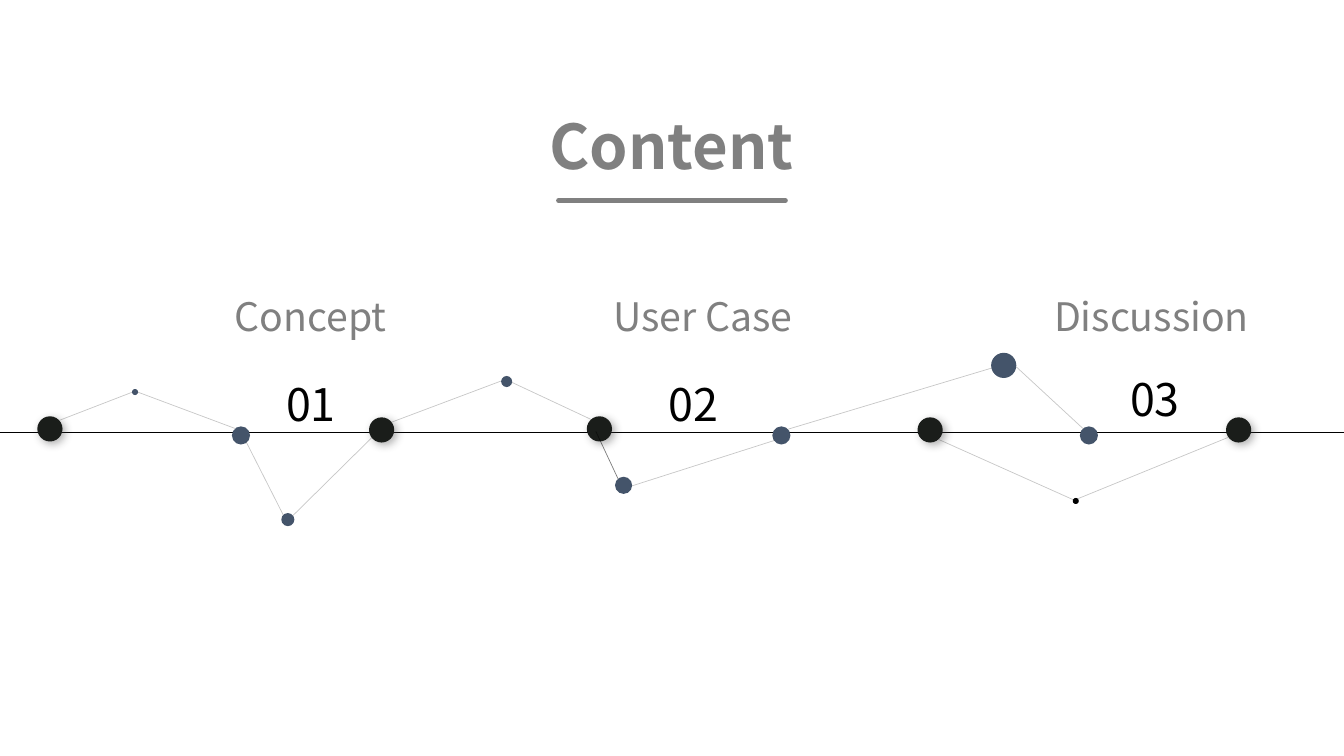
import dataclasses

import pptx
import pptx.dml.color
import pptx.enum.shapes
import pptx.enum.text
import pptx.oxml
import pptx.oxml.ns
import pptx.util

PX = 9144  # EMU in one px, 100 px to the inch


@dataclasses.dataclass(frozen=True)
class Theme:
    font: str = "Noto Sans CJK SC"
    gray: str = "808080"
    black: str = "000000"
    coal: str = "1A1D1A"
    slate: str = "44546A"
    shade: str = "404040"
    title: int = 44
    number: int = 32
    label: int = 28


THEME = Theme()


def px(*sizes):
    return [pptx.util.Emu(size * PX) for size in sizes]


def rgb(code):
    return pptx.dml.color.RGBColor.from_string(code)


def add_node(parent, tag, **attrs):
    node = pptx.oxml.ns.qn(tag)
    child = parent.makeelement(node, {key: str(val) for key, val in attrs.items()})
    parent.append(child)
    return child


def add_text(slide, text, box, size, color=THEME.gray, bold=False,
             spacing=None, anchor=pptx.enum.text.MSO_ANCHOR.TOP):
    frame = slide.shapes.add_textbox(*px(*box)).text_frame
    frame.word_wrap = True
    frame.auto_size = pptx.enum.text.MSO_AUTO_SIZE.SHAPE_TO_FIT_TEXT
    frame.vertical_anchor = anchor
    para = frame.paragraphs[0]
    para.alignment = pptx.enum.text.PP_ALIGN.CENTER
    if spacing:
        para.line_spacing = spacing
    run = para.add_run()
    run.text = text
    run.font.size = pptx.util.Pt(size)
    run.font.bold = bold
    run.font.name = THEME.font
    run.font.color.rgb = rgb(color)
    # East Asian face
    add_node(run.font._element, "a:ea", typeface=THEME.font)


def add_line(slide, ends, color=THEME.black, width=0.5, alpha=100, cap="flat"):
    kind = pptx.enum.shapes.MSO_CONNECTOR.STRAIGHT
    link = slide.shapes.add_connector(kind, *px(*ends))
    link.line.width = pptx.util.Pt(width)
    link.line.color.rgb = rgb(color)
    stroke = link.line._get_or_add_ln()
    stroke.set("cap", cap)
    if alpha < 100:
        tint = stroke.find(".//" + pptx.oxml.ns.qn("a:srgbClr"))
        add_node(tint, "a:alpha", val=alpha * 1000)
    add_node(link._element.spPr, "a:effectLst")


def add_dot(slide, left, top, size, color=THEME.slate, raised=False):
    kind = pptx.enum.shapes.MSO_SHAPE.OVAL
    dot = slide.shapes.add_shape(kind, *px(left, top, size, size))
    dot.fill.solid()
    dot.fill.fore_color.rgb = rgb(color)
    dot.line.fill.background()
    dot.shadow.inherit = False
    if raised:
        glow = dot._element.spPr.find(pptx.oxml.ns.qn("a:effectLst"))
        cast = add_node(glow, "a:outerShdw", blurRad=pptx.util.Pt(6),
                        dist=pptx.util.Pt(3), dir=45 * 60000,
                        algn="tl", rotWithShape=0)
        tint = add_node(cast, "a:srgbClr", val=THEME.shade)
        add_node(tint, "a:alpha", val=40000)


def main():
    deck = pptx.Presentation()
    deck.slide_width, deck.slide_height = px(1333, 750)
    slide = deck.slides.add_slide(deck.slide_layouts[6])

    # Title rule and time line
    add_line(slide, (554, 199, 779, 199), THEME.gray, 3.5, cap="rnd")
    add_line(slide, (0, 429, 1333, 429), width=0.75)

    # Dots on the time line
    for left in (230, 766, 1071):
        add_dot(slide, left, 423, 18)
    for left, top in ((37, 413), (366, 414), (582, 413), (910, 414), (1216, 414)):
        add_dot(slide, left, top, 25, THEME.coal, raised=True)

    # Thin links
    links = (
        (59, 417, 134, 388), (134, 388, 233, 425),
        (244, 438, 281, 511), (290, 512, 369, 434),
        (388, 419, 497, 378), (586, 416, 507, 379),
        (768, 437, 627, 482), (984, 365, 781, 426),
        (1074, 425, 1008, 364), (1065, 496, 931, 436),
        (1218, 434, 1066, 496),
    )
    for ends in links:
        add_line(slide, ends, alpha=21)
    add_line(slide, (591, 428, 613, 475), alpha=51)

    # Dots off the time line
    for left, top, size in ((279, 509, 13), (497, 373, 11), (610, 473, 17),
                            (983, 350, 25), (131, 386, 6)):
        add_dot(slide, left, top, size)
    add_dot(slide, 1064, 494, 6, THEME.black)

    # Numbers and labels
    parts = (
        ("01", (212, 369), "Concept", (156, 304)),
        ("02", (591, 369), "User Case", (516, 362)),
        ("03", (1049, 364), "Discussion", (961, 362)),
    )
    for number, (left, top), label, (start, width) in parts:
        add_text(slide, number, (left, top, 193, 64), THEME.number, THEME.black)
        add_text(slide, label, (start, 285, width, 57), THEME.label)

    # Title
    add_text(slide, "Content", (420, 71, 492, 108), THEME.title, bold=True,
             spacing=1.5, anchor=pptx.enum.text.MSO_ANCHOR.MIDDLE)

    deck.save("out.pptx")


if __name__ == "__main__":
    main()
